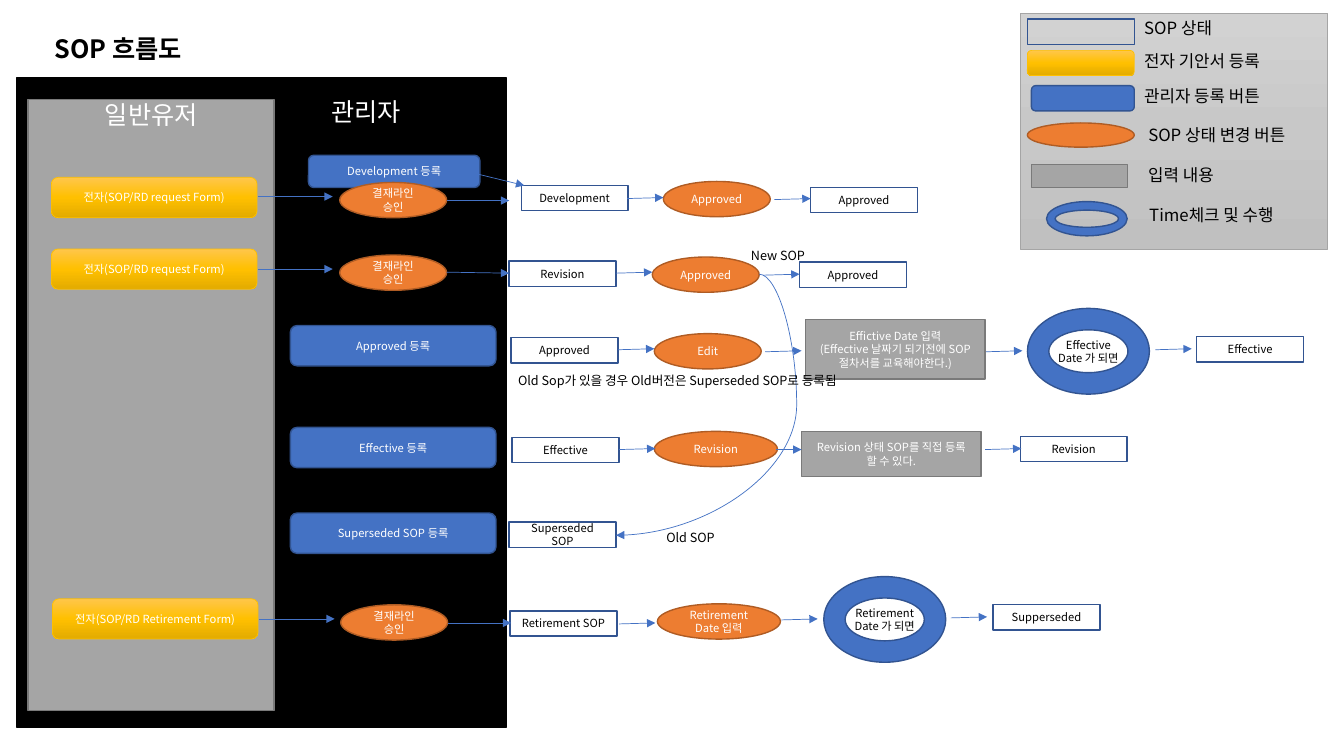
from copy import deepcopy
from lxml.etree import SubElement
from pptx import Presentation
from pptx.dml.color import RGBColor
from pptx.enum.shapes import MSO_CONNECTOR, MSO_SHAPE
from pptx.enum.text import MSO_ANCHOR, PP_ALIGN
from pptx.oxml.ns import qn
from pptx.util import Inches, Pt

FONT = "Noto Sans CJK KR"
COLORS = {
    "white": "FFFFFF", "black": "000000", "blue": "4472C4", "navy": "325491",
    "orange": "ED7D31", "rust": "AF5C24", "gray": "A5A5A5", "dark": "7A7A7A",
    "gold": "FFC000", "gold_top": "FFC64B", "gold_low": "E3AB00",
    "key_top": "D2D2D2", "key_mid": "C8C8C8", "key_low": "C0C0C0",
}
GOLD = ("gold_top", "gold", "gold_low")
SILVER = ("key_top", "key_mid", "key_low")

# kind: shape, fill, line, line width, text colour, usual width and height
KINDS = {
    "key": (MSO_SHAPE.RECTANGLE, SILVER, "gray", 0.5, "black", 3.05, 2.34),
    "admin": (MSO_SHAPE.RECTANGLE, "black", "black", 1, "white", 4.85, 6.45),
    "user": (MSO_SHAPE.RECTANGLE, "gray", "dark", 1, "white", 2.44, 6.06),
    "state": (MSO_SHAPE.RECTANGLE, None, "navy", 1, "black", 1.06, 0.25),
    "form": (MSO_SHAPE.ROUNDED_RECTANGLE, GOLD, "gold", 0.5, "white", 2.04, 0.4),
    "button": (MSO_SHAPE.ROUNDED_RECTANGLE, "blue", "navy", 1, "white", 2.04, 0.4),
    "change": (MSO_SHAPE.OVAL, "orange", "rust", 1, "white", 1.06, 0.35),
    "input": (MSO_SHAPE.FLOWCHART_PROCESS, "gray", "dark", 1, "white", 1.78, 0.45),
    "time": (MSO_SHAPE.DONUT, "blue", "navy", 1, "black", 1.21, 0.85),
}

TITLE = "SOP 흐름도"
# kind, text, left, top, left / top / right inset
LANES = [
    ("admin", "관리자", 0.17, 0.77, 2.6, 0.19, 0.53),
    ("user", "일반유저", 0.28, 0.99, 0.1, 0, 0.1),
]
# kind, text, left, top, then width and height where they are not the usual
STEPS = [
    ("form", "전자(SOP/RD request Form)", 0.51, 1.76),
    ("button", "Development 등록", 3.06, 1.54, 1.7, 0.32),
    ("change", "결재라인 승인", 3.37, 1.81),
    ("state", "Development", 5.17, 1.84),
    ("change", "Approved", 6.58, 1.8),
    ("state", "Approved", 8.04, 1.86),

    ("form", "전자(SOP/RD request Form)", 0.51, 2.47),
    ("change", "결재라인 승인", 3.37, 2.53),
    ("state", "Revision", 5.05, 2.59),
    ("change", "Approved", 6.47, 2.55),
    ("state", "Approved", 7.93, 2.6),

    ("button", "Approved 등록", 2.88, 3.23),
    ("state", "Approved", 5.07, 3.35),
    ("change", "Edit", 6.49, 3.31),
    ("input", "Effictive Date 입력\n(Effective 날짜기 되기전에 SOP절차서를 교육해야한다.)",
     7.99, 3.17, 1.78, 0.59),
    ("time", "Effective Date 가 되면", 10.19, 3.06),
    ("state", "Effective", 11.87, 3.34),

    ("button", "Effective 등록", 2.88, 4.24),
    ("state", "Effective", 5.08, 4.34),
    ("change", "Revision", 6.49, 4.28, 1.22, 0.35),
    ("input", "Revision 상태 SOP를 직접 등록 할 수 있다.", 7.95, 4.28),
    ("state", "Revision", 10.12, 4.33),

    ("button", "Superseded SOP 등록", 2.88, 5.09),
    ("state", "Superseded SOP", 5.05, 5.18),

    ("form", "전자(SOP/RD Retirement Form)", 0.52, 5.94),
    ("change", "결재라인 승인", 3.38, 6),
    ("state", "Retirement SOP", 5.06, 6.06),
    ("change", "Retirement Date 입력", 6.52, 5.99, 1.22, 0.35),
    ("time", "Retirement Date 가 되면", 8.17, 5.72),
    ("state", "Supperseded", 9.85, 6),
]
# start x, start y, end x, end y
ARROWS = [
    (2.56, 1.95, 3.3, 1.95), (4.43, 1.99, 5.05, 1.99), (4.75, 1.73, 5.2, 1.84),
    (2.56, 2.67, 3.3, 2.67), (4.43, 2.7, 5.05, 2.71),
    (7.7, 4.46, 7.95, 4.46),
    (2.57, 6.14, 3.32, 6.14), (4.44, 6.18, 5.07, 6.18),
]
# starts of the short arrows, all of one length and rise
GAP, RISE = 0.36, 0.01
HOPS = [
    (6.22, 1.97), (7.68, 1.98), (6.11, 2.71), (7.57, 2.73),
    (6.13, 3.47), (7.59, 3.49), (9.78, 3.49), (11.46, 3.47),
    (6.14, 4.46), (9.77, 4.46), (6.14, 6.19), (7.75, 6.15), (9.43, 6.13),
]
CURVE, BEND = (7.53, 2.72, 6.11, 5.31), -26200
# text, left, top, width
NOTES = [
    ("Old SOP", 6.51, 5.21, 0.69),
    ("New SOP", 7.35, 2.41, 0.74),
    ("Old Sop가 있을 경우 Old버전은 Superseded SOP로 등록됨", 5.04, 3.65, 3.56),
]
# kind, left, top, width, height, label, label left, top and width
LEGEND = [
    ("state", 10.19, 0.19, 1.06, 0.25, "SOP 상태", 11.25, 0.13, 0.92),
    ("form", 10.19, 0.5, 1.06, 0.25, "전자 기안서 등록", 11.25, 0.45, 1.5),
    ("button", 10.23, 0.85, 1.02, 0.25, "관리자 등록 버튼", 11.25, 0.8, 1.5),
    ("change", 10.19, 1.22, 1.06, 0.24, "SOP 상태 변경 버튼", 11.29, 1.19, 1.71),
    ("input", 10.23, 1.63, 0.95, 0.23, "입력 내용", 11.29, 1.59, 0.93),
    ("time", 10.38, 2, 0.8, 0.34, "Time체크 및 수행", 11.3, 1.98, 1.53),
]


def rgb(name):
    return RGBColor.from_string(COLORS[name])


def style(frame, size, color, align, bold=False):
    for para in frame.paragraphs:
        para.alignment = align
        for run in para.runs:
            font = run.font
            font.size, font.bold, font.name = Pt(size), bold, FONT
            font.color.rgb = rgb(color)
            SubElement(font._element, qn("a:ea")).set("typeface", FONT)


def shade(shape, names):
    """Fill with an even top-to-bottom gradient of three colours."""
    shape.fill.gradient()
    shape.fill.gradient_angle = 270
    stops = shape.element.spPr.find(".//" + qn("a:gsLst"))
    stops.insert(1, deepcopy(stops[0]))
    for i, (stop, name) in enumerate(zip(shape.fill.gradient_stops, names)):
        stop.position = i / 2
        stop.color.rgb = rgb(name)


def add_box(slide, kind, text, left, top, width=None, height=None, size=8):
    form, fill, line, weight, color, wide, high = KINDS[kind]
    box = slide.shapes.add_shape(form, Inches(left), Inches(top),
                                 Inches(width or wide), Inches(height or high))
    box.shadow.inherit = False
    if fill is None:
        box.fill.background()
    elif isinstance(fill, tuple):
        shade(box, fill)
    else:
        box.fill.solid()
        box.fill.fore_color.rgb = rgb(fill)
    box.line.color.rgb = rgb(line)
    box.line.width = Pt(weight)
    if text:
        frame = box.text_frame
        frame.text = text
        frame.word_wrap = True
        frame.vertical_anchor = MSO_ANCHOR.MIDDLE
        style(frame, size, color, PP_ALIGN.CENTER)
    return box


def add_arrow(slide, ends, form=MSO_CONNECTOR.STRAIGHT):
    arrow = slide.shapes.add_connector(form, *map(Inches, ends))
    arrow.line.color.rgb = rgb("blue")
    arrow.line.width = Pt(0.5)
    props = arrow.element.spPr
    SubElement(props.find(qn("a:ln")), qn("a:tailEnd")).set("type", "triangle")
    SubElement(props, qn("a:effectLst"))
    return arrow


def add_label(slide, text, left, top, width, height, size):
    label = slide.shapes.add_textbox(*map(Inches, (left, top, width, height)))
    label.text_frame.text = text
    label.text_frame.word_wrap = False
    style(label.text_frame, size, "black", PP_ALIGN.LEFT)


def main():
    deck = Presentation()
    deck.slide_width, deck.slide_height = Inches(13.33), Inches(7.5)
    slide = deck.slides.add_slide(deck.slide_layouts[5])

    title = slide.shapes.title
    title.left, title.top = Inches(0.44), Inches(0.28)
    title.width, title.height = Inches(9.5), Inches(0.4)
    title.text_frame.text = TITLE
    title.text_frame.vertical_anchor = MSO_ANCHOR.MIDDLE
    style(title.text_frame, 18, "black", PP_ALIGN.LEFT, True)

    add_box(slide, "key", "", 10.12, 0.13)
    for kind, text, left, top, *inset in LANES:
        frame = add_box(slide, kind, text, left, top, size=18).text_frame
        frame.vertical_anchor = MSO_ANCHOR.TOP
        frame.margin_left, frame.margin_top, frame.margin_right = map(Inches, inset)

    for step in STEPS:
        add_box(slide, *step)
    for ends in ARROWS + [(x, y, x + GAP, y - RISE) for x, y in HOPS]:
        add_arrow(slide, ends)

    curve = add_arrow(slide, CURVE, MSO_CONNECTOR.CURVE)
    guides = curve.element.spPr.find(".//" + qn("a:avLst"))
    SubElement(guides, qn("a:gd"), name="adj1", fmla=f"val {BEND}")

    for note in NOTES:
        add_label(slide, *note, 0.25, 9)
    for kind, left, top, width, height, *label in LEGEND:
        add_box(slide, kind, "", left, top, width, height)
        add_label(slide, *label, 0.3, 12)

    deck.save("out.pptx")


if __name__ == "__main__":
    main()
